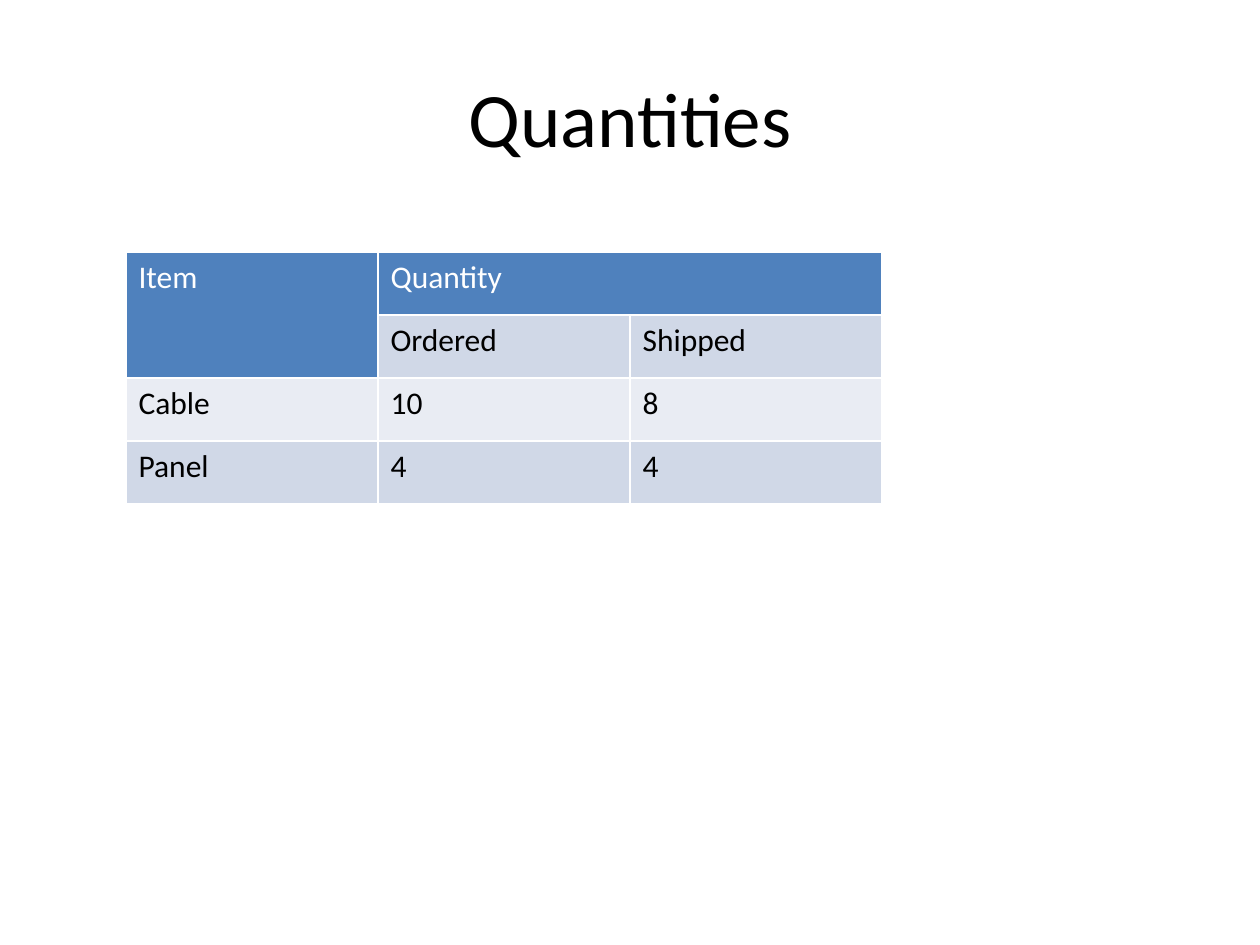
from lxml.etree import SubElement
from pptx import Presentation
from pptx.dml.color import RGBColor
from pptx.enum.text import MSO_ANCHOR, PP_ALIGN
from pptx.oxml.ns import qn
from pptx.util import Emu, Pt

WHITE, BLACK = "FFFFFF", "000000"
HEAD, DARK, LIGHT = "4F81BD", "D0D8E7", "E9ECF3"


def px(n):
    return Emu(round(n * 914400 / 126))


def color(code):
    return RGBColor.from_string(code)


class Deck:
    font = "Calibri"
    rule = Pt(0.96)

    def __init__(self, width, height):
        self.prs = Presentation()
        self.prs.slide_width, self.prs.slide_height = px(width), px(height)
        self.slide = self.prs.slides.add_slide(self.prs.slide_layouts[5])

    def style(self, frame, size, ink):
        for run in frame.paragraphs[0].runs:
            font = run.font
            font.name, font.size, font.bold = self.font, Pt(size), False
            font.color.rgb = color(ink)

    def title(self, text, left, top, width, height):
        shape = self.slide.shapes.title
        shape.left, shape.top = px(left), px(top)
        shape.width, shape.height = px(width), px(height)
        frame = shape.text_frame
        frame.text = text
        frame.vertical_anchor = MSO_ANCHOR.MIDDLE
        frame.paragraphs[0].alignment = PP_ALIGN.CENTER
        self.style(frame, 44, BLACK)

    def border(self, cell):
        props = cell._tc.get_or_add_tcPr()
        for side in ("lnL", "lnR", "lnT", "lnB"):
            line = SubElement(props, qn(f"a:{side}"), w=str(self.rule))
            fill = SubElement(line, qn("a:solidFill"))
            SubElement(fill, qn("a:srgbClr"), val=WHITE)

    def cell(self, cell, text, fill):
        self.border(cell)
        cell.fill.solid()
        cell.fill.fore_color.rgb = color(fill)
        cell.text_frame.text = text
        self.style(cell.text_frame, 18, WHITE if fill == HEAD else BLACK)

    def table(self, rows, fills, spans, left, top, width, height):
        frame = self.slide.shapes.add_table(
            len(rows), len(rows[0]), px(left), px(top), px(width), px(height))
        table = frame.table
        for r, (row, fill) in enumerate(zip(rows, fills)):
            for c, text in enumerate(row):
                self.cell(table.cell(r, c), text, fill)
        for start, end in spans:
            table.cell(*start).merge(table.cell(*end))


def main():
    deck = Deck(1260, 945)

    # Title
    deck.title("Quantities", 63, 38, 1134, 158)

    # Table with a two-row header
    rows = [
        ["Item", "Quantity", ""],
        ["", "Ordered", "Shipped"],
        ["Cable", "10", "8"],
        ["Panel", "4", "4"],
    ]
    spans = [((0, 0), (1, 0)), ((0, 1), (0, 2))]
    deck.table(rows, [HEAD, DARK, LIGHT, DARK], spans, 126, 252, 756, 252)

    deck.prs.save("out.pptx")


if __name__ == "__main__":
    main()
